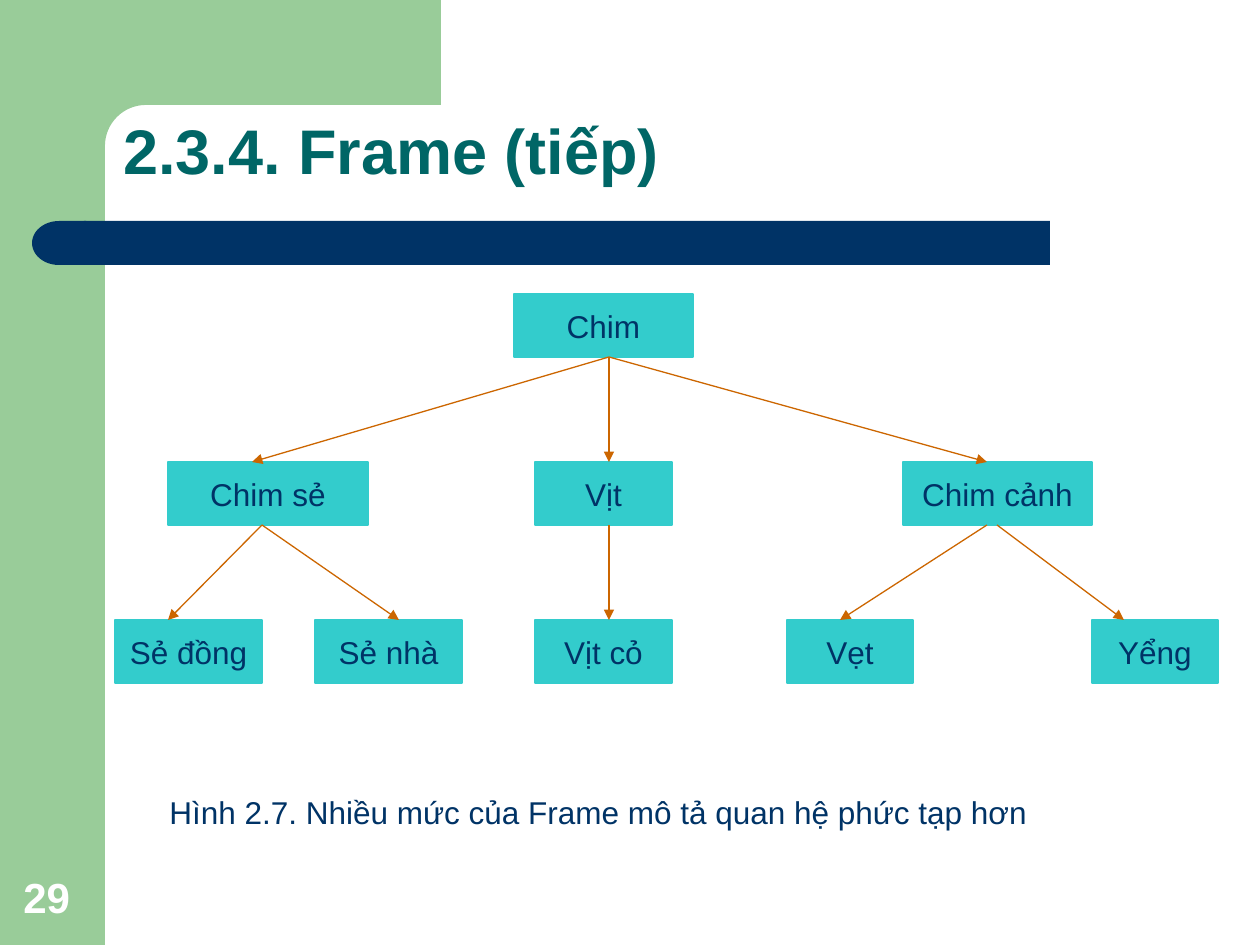
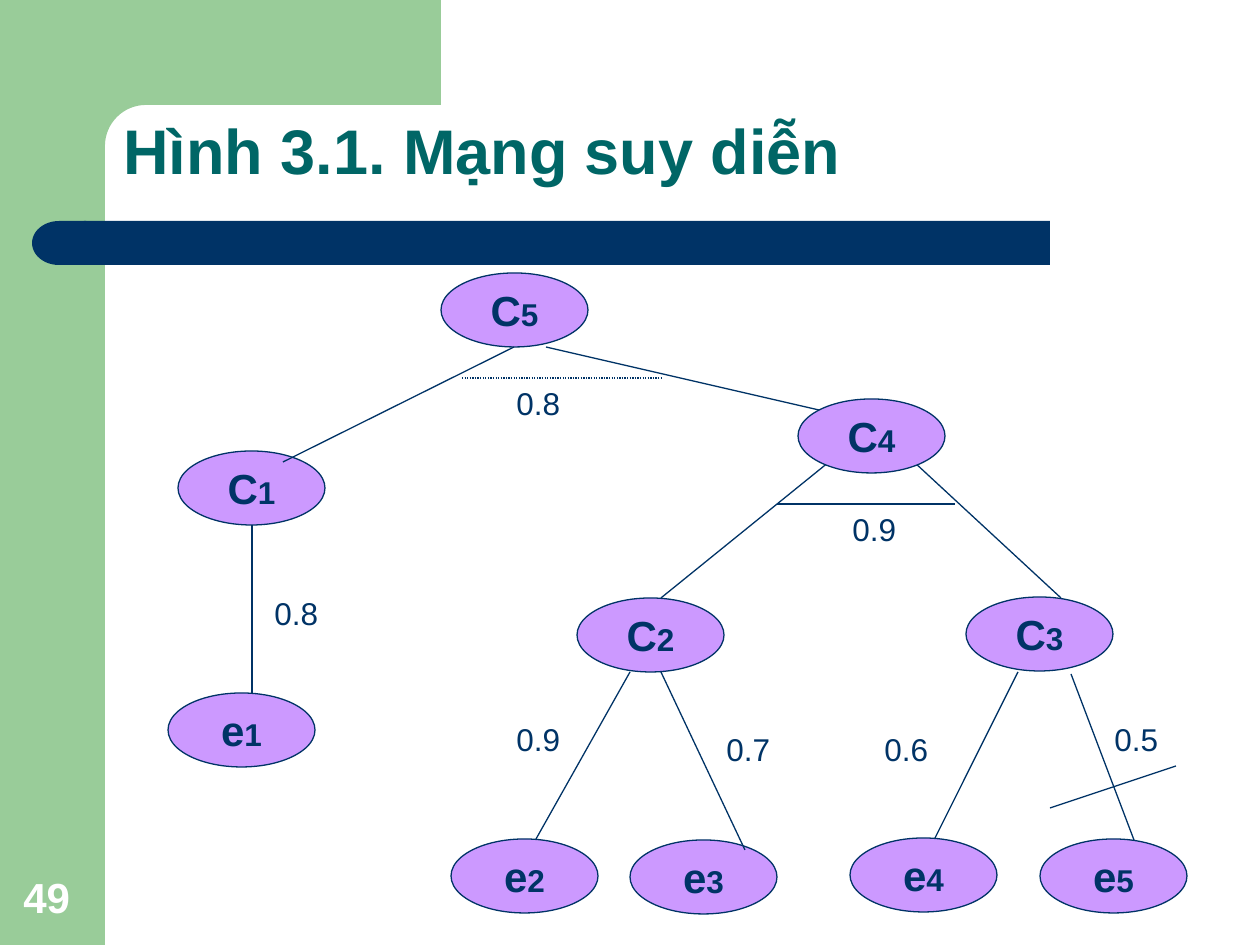
"""Build two lecture slides: a frame hierarchy of birds and an inference network."""
from math import cos, pi, sin

from lxml import etree
from pptx import Presentation
from pptx.dml.color import RGBColor
from pptx.enum.dml import MSO_LINE
from pptx.enum.shapes import MSO_CONNECTOR, MSO_SHAPE
from pptx.enum.text import MSO_ANCHOR, PP_ALIGN
from pptx.oxml.ns import qn
from pptx.util import Emu, Pt

RECTANGLE, ELLIPSE, DELAY = MSO_SHAPE.RECTANGLE, MSO_SHAPE.OVAL, MSO_SHAPE.FLOWCHART_DELAY
STRAIGHT, DOTTED = MSO_CONNECTOR.STRAIGHT, MSO_LINE.ROUND_DOT
TOP, MIDDLE, BOTTOM = MSO_ANCHOR.TOP, MSO_ANCHOR.MIDDLE, MSO_ANCHOR.BOTTOM
LEFT, CENTER = PP_ALIGN.LEFT, PP_ALIGN.CENTER

GREEN = RGBColor(0x99, 0xCC, 0x99)
NAVY = RGBColor(0x00, 0x33, 0x66)
TEAL = RGBColor(0x00, 0x66, 0x66)
TURQUOISE = RGBColor(0x33, 0xCC, 0xCC)
VIOLET = RGBColor(0xCC, 0x99, 0xFF)
ORANGE = RGBColor(0xCC, 0x66, 0x00)
WHITE = RGBColor(0xFF, 0xFF, 0xFF)

PX_PER_INCH = 126
SLIDE_W, SLIDE_H = 1260, 945

BODY = {"name": "Arial", "size": Pt(18), "bold": False}
NODE_LETTER = {**BODY, "size": Pt(24), "bold": True}
NODE_INDEX = {**BODY, "bold": True}
TITLE = {**BODY, "size": Pt(36), "bold": True}
PAGE_NUMBER = {**BODY, "size": Pt(24), "bold": True}

BIRD_H = 63
BIRD_LEVELS = [
    (294, [("Chim", 514, 179)]),
    (462, [("Chim sẻ", 168, 200), ("Vịt", 535, 137), ("Chim cảnh", 903, 189)]),
    (620, [("Sẻ đồng", 115, 147), ("Sẻ nhà", 315, 147), ("Vịt cỏ", 535, 137),
           ("Vẹt", 787, 126), ("Yểng", 1092, 126)]),
]
BIRD_ARROWS = [
    [(609, 609), (609, 252), (609, 987)],
    [(609, 609), (262, 168), (262, 399), (987, 840), (997, 1124)],
]
BIRD_CAPTION = ("Hình 2.7. Nhiều mức của Frame mô tả quan hệ phức tạp hơn", 157, 787, 924)

NODE_W, NODE_H = 147, 74
NETWORK_NODES = [
    ("C5", 441, 273), ("C1", 178, 451), ("C4", 798, 399), ("C2", 577, 598),
    ("C3", 966, 597), ("e1", 168, 693), ("e2", 451, 839), ("e3", 630, 840),
    ("e4", 850, 838), ("e5", 1040, 839),
]
EDGES_UNDER_NODES = [(829, 462, 661, 598), (914, 462, 1061, 598)]
EDGES_OVER_NODES = [
    (514, 347, 283, 462), (546, 347, 819, 410), (252, 525, 252, 693),
    (630, 672, 536, 839), (661, 672, 745, 850), (1018, 672, 935, 838),
    (1071, 674, 1134, 840),
]
AND_LINE = (777, 504, 955, 504)
OR_LINE = (462, 378, 661, 378)
CUT_LINE = (1050, 808, 1176, 766)
CERTAINTIES = [
    ("0.8", 504, 378), ("0.9", 840, 504), ("0.9", 504, 714), ("0.7", 714, 724),
    ("0.6", 872, 724), ("0.5", 1102, 714), ("0.8", 262, 588),
]


def px(length):
    return Emu(round(length * 914400 / PX_PER_INCH))


def set_all(target, values):
    for key, value in values.items():
        setattr(target, key, value)


def write(shape, runs, color, align=LEFT, anchor=TOP, wrap=True):
    frame = shape.text_frame
    set_all(frame, {"word_wrap": wrap, "vertical_anchor": anchor})
    paragraph = frame.paragraphs[0]
    paragraph.alignment = align
    for text, style in runs:
        run = paragraph.add_run()
        run.text = text
        set_all(run.font, style)
        run.font.color.rgb = color
    return paragraph


def add_text(slide, box, text, style, color, anchor=TOP):
    return write(slide.shapes.add_textbox(*map(px, box)), [(text, style)], color, anchor=anchor)


def paint(shape, fill, line=None):
    shape.shadow.inherit = False
    shape.fill.solid()
    shape.fill.fore_color.rgb = fill
    if line is None:
        shape.line.fill.background()
    else:
        shape.line.color.rgb = line
        shape.line.width = Pt(0.75)


def add_box(slide, kind, box, fill, line=None):
    shape = slide.shapes.add_shape(kind, *map(px, box))
    paint(shape, fill, line)
    return shape


def add_line(slide, ends, color, arrow=False):
    connector = slide.shapes.add_connector(STRAIGHT, *map(px, ends))
    connector.line.color.rgb = color
    connector.line.width = Pt(0.75)
    properties = connector._element.spPr
    if arrow:
        etree.SubElement(properties.find(qn("a:ln")), qn("a:tailEnd"), type="triangle")
    etree.SubElement(properties, qn("a:effectLst"))
    return connector


def add_corner(slide):
    band, radius, steps = 105, 41, 16
    center = band + radius
    arc = [(center - radius * sin(pi / 2 * i / steps), center - radius * cos(pi / 2 * i / steps))
           for i in range(steps + 1)]
    outline = [(441, 0), (441, band), *arc, (band, 161), (63, 161), (63, 0)]
    points = [(px(x), px(y)) for x, y in outline]
    builder = slide.shapes.build_freeform(*points[0], scale=1.0)
    builder.add_line_segments(points[1:], close=True)
    paint(builder.convert_to_shape(), GREEN)


def add_base(deck, title, number):
    slide = deck.slides.add_slide(deck.slide_layouts[6])
    add_box(slide, RECTANGLE, (0, 0, 105, SLIDE_H), GREEN)
    add_corner(slide)
    add_box(slide, RECTANGLE, (84, 221, 966, 44), NAVY)
    add_box(slide, DELAY, (32, 221, 54, 44), NAVY).rotation = 180
    add_text(slide, (11, 861, 81, 67), number, PAGE_NUMBER, WHITE, BOTTOM)
    add_text(slide, (111, 111, 1080, 83), title, TITLE, TEAL, BOTTOM).line_spacing = 0.9
    return slide


def build_birds(deck):
    slide = add_base(deck, "2.3.4. Frame (tiếp)", "29")
    for top, birds in BIRD_LEVELS:
        for name, left, width in birds:
            bird = add_box(slide, RECTANGLE, (left, top, width, BIRD_H), TURQUOISE, TURQUOISE)
            write(bird, [(name, BODY)], NAVY, CENTER, MIDDLE, False)
    for (upper, _), (lower, _), arrows in zip(BIRD_LEVELS, BIRD_LEVELS[1:], BIRD_ARROWS):
        for start, end in arrows:
            add_line(slide, (start, upper + BIRD_H, end, lower), ORANGE, arrow=True)
    caption, left, top, width = BIRD_CAPTION
    add_text(slide, (left, top, width, 50), caption, BODY, NAVY)


def build_network(deck):
    slide = add_base(deck, "Hình 3.1. Mạng suy diễn", "49")
    for ends in EDGES_UNDER_NODES:
        add_line(slide, ends, NAVY)
    for name, left, top in NETWORK_NODES:
        node = add_box(slide, ELLIPSE, (left, top, NODE_W, NODE_H), VIOLET, NAVY)
        runs = [(name[0], NODE_LETTER), (name[1:], NODE_INDEX)]
        write(node, runs, NAVY, CENTER, MIDDLE, False)
    for ends in [*EDGES_OVER_NODES, AND_LINE, CUT_LINE]:
        add_line(slide, ends, NAVY)
    add_line(slide, OR_LINE, NAVY).line.dash_style = DOTTED
    for value, left, top in CERTAINTIES:
        add_text(slide, (left, top, 105, 50), value, BODY, NAVY)


def main():
    deck = Presentation()
    set_all(deck, {"slide_width": px(SLIDE_W), "slide_height": px(SLIDE_H)})
    build_birds(deck)
    build_network(deck)
    deck.save("out.pptx")


if __name__ == "__main__":
    main()
